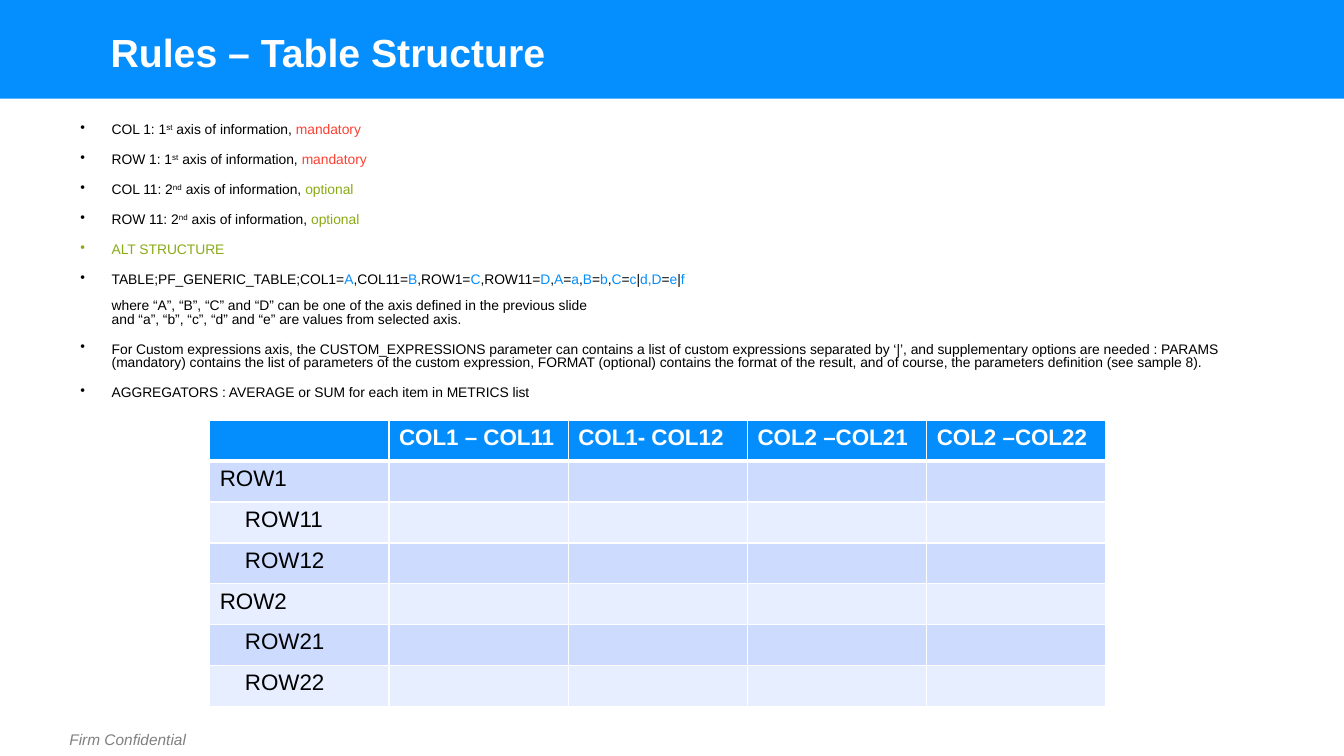
from dataclasses import dataclass
from itertools import cycle

from pptx import Presentation
from pptx.dml.color import RGBColor
from pptx.enum.shapes import MSO_SHAPE as Shape
from pptx.oxml import parse_xml
from pptx.oxml.ns import nsdecls
from pptx.util import Inches, Pt

FONT = "Arial"
BLACK, WHITE, GRAY = "000000", "FFFFFF", "808080"
BLUE, RED, GREEN = "048EFD", "FC4132", "8AAA16"
BANDS = ("CCDBFE", "E7EEFF")


@dataclass
class Piece:
    text: str
    color: str = BLACK
    raised: bool = False


@dataclass
class Rule:
    pieces: list[Piece]
    bullet: bool = True
    space_before: float = 12


@dataclass
class TableRow:
    label: str
    indented: bool = False


def rgb(color: str) -> RGBColor:
    return RGBColor.from_string(color)


def style(r, size: float, color: str, bold: bool = False, italic: bool = False) -> None:
    r.font.name, r.font.size = FONT, Pt(size)
    r.font.bold, r.font.italic = bold, italic
    r.font.color.rgb = rgb(color)


def add_text_frame(slide, left: float, top: float, width: float, height: float,
                   wrap: bool = True):
    box = slide.shapes.add_textbox(Inches(left), Inches(top), Inches(width), Inches(height))
    box.text_frame.word_wrap = wrap
    return box.text_frame


def axis_rule(name: str, number: str, ordinal: str, need: str, color: str) -> Rule:
    return Rule([Piece(f"{name}: {number}"), Piece(ordinal, raised=True),
                 Piece(" axis of information, "), Piece(need, color)])


def add_rule(p, rule: Rule) -> None:
    p.line_spacing = 0.8
    p.space_before = Pt(rule.space_before)
    pPr = p._p.get_or_add_pPr()
    pPr.set("marL", str(Inches(0.31)))
    pPr.set("indent", str(Inches(-0.31 if rule.bullet else 0)))
    if rule.bullet:
        pPr.append(parse_xml(f'<a:buChar {nsdecls("a")} char="•"/>'))
    for piece in rule.pieces:
        # A line break inside a piece splits it into runs of the same look
        for i, line in enumerate(piece.text.split("\n")):
            if i:
                p.add_line_break()
            r = p.add_run()
            r.text = line
            style(r, 9.9, piece.color)
            if piece.raised:
                r.font._element.set("baseline", "30000")


def fill_cell(cell, color: str, top: float, bottom: float) -> None:
    for side, width in (("L", 1), ("R", 1), ("T", top), ("B", bottom)):
        cell._tc.get_or_add_tcPr().append(parse_xml(
            f'<a:ln{side} {nsdecls("a")} w="{Pt(width)}"><a:solidFill>'
            f'<a:srgbClr val="{WHITE}"/></a:solidFill></a:ln{side}>'))
    cell.fill.solid()
    cell.fill.fore_color.rgb = rgb(color)


def write_cell(cell, text: str, color: str, bold: bool = False) -> None:
    p = cell.text_frame.paragraphs[0]
    p.text = text
    for r in p.runs:
        style(r, 16, color, bold)


def add_structure_table(slide, headers: list[str], rows: list[TableRow]) -> None:
    row_count, col_count = len(rows) + 1, len(headers)
    table = slide.shapes.add_table(row_count, col_count, Inches(2.08), Inches(4.17),
                                   Inches(8.89), Inches(2.84)).table
    for col, header in enumerate(headers):
        cell = table.cell(0, col)
        fill_cell(cell, BLUE, 1, 3)
        write_cell(cell, header, WHITE, bold=True)
    for i, (row, band) in enumerate(zip(rows, cycle(BANDS)), start=1):
        for col in range(col_count):
            fill_cell(table.cell(i, col), band, 3 if i == 1 else 1, 1)
        label = table.cell(i, 0)
        write_cell(label, row.label, BLACK)
        if row.indented:
            label.margin_left = Inches(0.35)


# Formula text alternates between fixed parts and blue values
FORMULA = ["TABLE;PF_GENERIC_TABLE;COL1=", "A", ",COL11=", "B", ",ROW1=", "C", ",ROW11=", "D",
           ",", "A", "=", "a", ",", "B", "=", "b", ",", "C", "=", "c", "|", "d,D", "=", "e",
           "|", "f"]

RULES = [
    axis_rule("COL 1", "1", "st", "mandatory", RED),
    axis_rule("ROW 1", "1", "st", "mandatory", RED),
    axis_rule("COL 11", "2", "nd", "optional", GREEN),
    axis_rule("ROW 11", "2", "nd", "optional", GREEN),
    Rule([Piece("ALT STRUCTURE", GREEN)]),
    Rule([Piece(text, color) for text, color in zip(FORMULA, cycle((BLACK, BLUE)))]),
    Rule([Piece("where “A”, “B”, “C” and “D” can be one of the axis defined in the previous "
                "slide\nand “a”, “b”, “c”, “d” and “e” are values from selected axis.")],
         bullet=False, space_before=9),
    Rule([Piece("For Custom expressions axis, the CUSTOM_EXPRESSIONS parameter can contains a "
                "list of custom expressions separated by ‘|’, and supplementary options are "
                "needed : PARAMS (mandatory) contains the list of parameters of the custom "
                "expression, FORMAT (optional) contains the format of the result, and of "
                "course, the parameters definition (see sample 8).")]),
    Rule([Piece("AGGREGATORS : AVERAGE or SUM for each item in METRICS list")]),
]

HEADERS = ["", "COL1 – COL11", "COL1- COL12", "COL2 –COL21", "COL2 –COL22"]
ROWS = [TableRow("ROW1"), TableRow("ROW11", True), TableRow("ROW12", True),
        TableRow("ROW2"), TableRow("ROW21", True), TableRow("ROW22", True)]


def main() -> None:
    prs = Presentation()
    prs.slide_width, prs.slide_height = Inches(13.33), Inches(7.5)
    slide = prs.slides.add_slide(prs.slide_layouts[6])

    # Title band
    sp = slide.shapes.add_shape(Shape.RECTANGLE, 0, 0, prs.slide_width, Inches(0.98))
    sp.shadow.inherit = False
    sp.fill.solid()
    sp.fill.fore_color.rgb = rgb("058FFE")
    sp.line.fill.background()

    # Footer
    tf = add_text_frame(slide, 0.59, 7.19, 1.47, 0.29, wrap=False)
    tf.text = "Firm Confidential"
    style(tf.paragraphs[0].runs[0], 11, GRAY, italic=True)

    # Title
    tf = add_text_frame(slide, 1, 0.28, 11.5, 0.44)
    tf.text = "Rules – Table Structure"
    tf.paragraphs[0].line_spacing = 0.9
    style(tf.paragraphs[0].runs[0], 28, WHITE, bold=True)

    # Rules
    tf = add_text_frame(slide, 0.7, 1.18, 11.96, 2.99)
    for i, rule in enumerate(RULES):
        add_rule(tf.add_paragraph() if i else tf.paragraphs[0], rule)

    # Table
    add_structure_table(slide, HEADERS, ROWS)

    prs.save("out.pptx")


if __name__ == "__main__":
    main()
